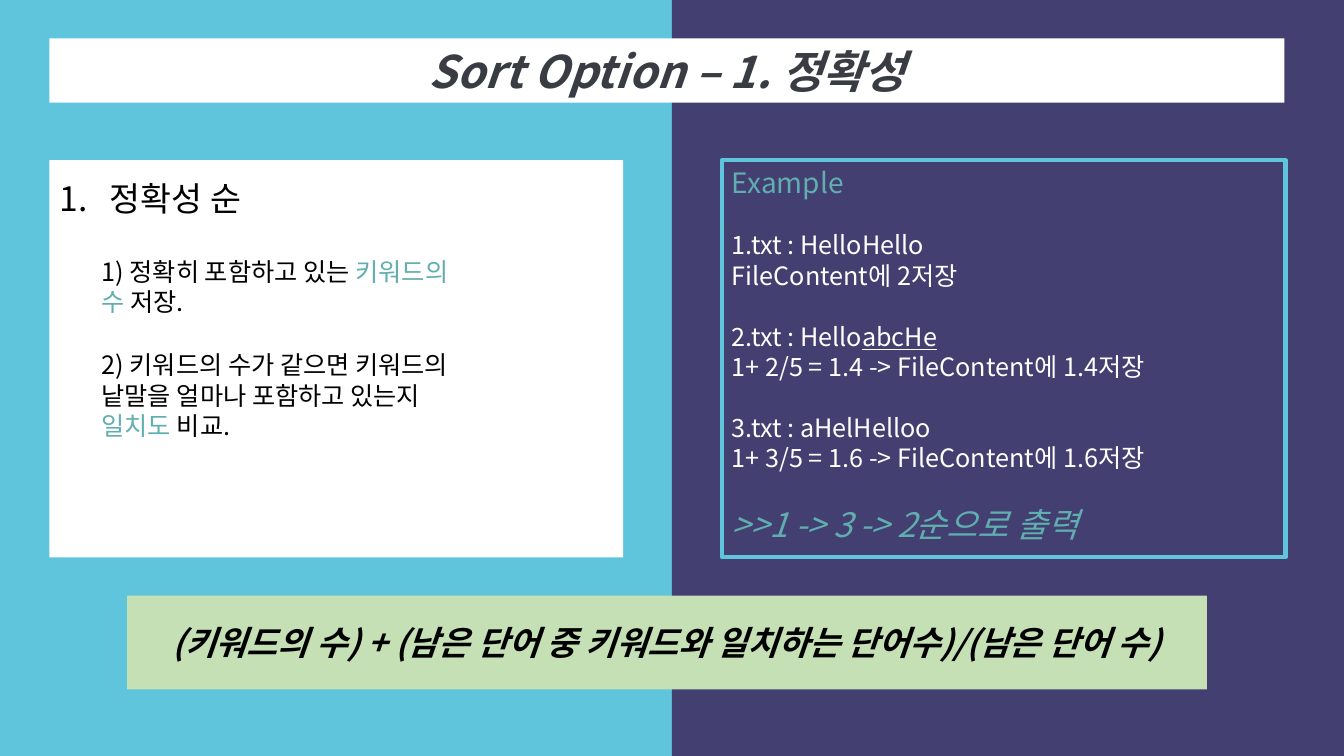
from lxml import etree
from pptx import Presentation
from pptx import util as u
from pptx.dml.color import RGBColor
from pptx.enum import shapes, text
from pptx.oxml import ns

WIDTH, HEIGHT = 13.33, 7.5
MIDDLE = WIDTH / 2
LEFT, PANEL_TOP, PANEL_HEIGHT = 0.49, 1.59, 3.94
FONT = "Noto Sans CJK KR"
SKY, NAVY, TEAL, GREEN = "5FC5DC", "433F71", "61AEB0", "C5E0B4"
WHITE, BLACK, CHARCOAL = "FFFFFF", "000000", "393C43"
LINE_GAP = 22  # points, one text line between groups


def color(value):
    return RGBColor.from_string(value)


def add_box(slide, left, top, width, height, fill=None, line=None):
    box = slide.shapes.add_shape(
        shapes.MSO_SHAPE.RECTANGLE, *map(u.Inches, (left, top, width, height)))
    box.shadow.inherit = False
    if fill:
        box.fill.solid()
        box.fill.fore_color.rgb = color(fill)
    else:
        box.fill.background()
    if line:
        box.line.color.rgb = color(line)
        box.line.width = u.Pt(3)
    else:
        box.line.fill.background()
    return box


def write(box, paragraphs, align=text.PP_ALIGN.LEFT,
          anchor=text.MSO_ANCHOR.TOP):
    """Fill a box from (space before, size, [(words, color, styles)])."""
    frame = box.text_frame
    frame.word_wrap = True
    frame.vertical_anchor = anchor
    for index, (gap, size, spans) in enumerate(paragraphs):
        para = frame.add_paragraph() if index else frame.paragraphs[0]
        para.alignment = align
        if gap:
            para.space_before = u.Pt(gap)
        for words, tint, styles in spans:
            span = para.add_run()
            span.text = words
            span.font.size = u.Pt(size)
            span.font.name = FONT
            span.font.color.rgb = color(tint)
            span.font.bold = "b" in styles
            span.font.italic = "i" in styles
            span.font.underline = "u" in styles
            east_asian = etree.SubElement(
                span.font._element, ns.qn("a:ea"))
            east_asian.set("typeface", FONT)


def add_banner(slide, area, fill, words, size, tint):
    box = add_box(slide, *area, fill=fill)
    write(box, [(0, size, [(words, tint, "bi")])],
          text.PP_ALIGN.CENTER, text.MSO_ANCHOR.MIDDLE)


def add_note(slide, top, height, spans):
    box = slide.shapes.add_textbox(
        *map(u.Inches, (0.91, top, 3.86, height)))
    write(box, [(0, 18, spans)])


def number(para):
    props = para._p.get_or_add_pPr()
    props.set("marL", str(u.Inches(0.5)))
    props.set("indent", str(-u.Inches(0.5)))
    bullet = etree.SubElement(props, ns.qn("a:buAutoNum"))
    bullet.set("type", "arabicPeriod")


def add_criteria(slide):
    panel = add_box(slide, LEFT, PANEL_TOP, 5.69, PANEL_HEIGHT, WHITE)
    panel.text_frame.margin_top = u.Inches(0.18)
    write(panel, [(0, 24, [("정확성 순", BLACK, "")])])
    number(panel.text_frame.paragraphs[0])
    add_note(slide, 2.49, 0.71, [
        ("1) 정확히 포함하고 있는 ", BLACK, ""),
        ("키워드의 수", TEAL, ""), (" 저장.", BLACK, "")])
    add_note(slide, 3.42, 1.01, [
        ("2) 키워드의 수가 같으면 키워드의 낱말을 얼마나 포함하고 있는지 ", BLACK, ""),
        ("일치도 ", TEAL, ""), ("비교.", BLACK, "")])


def add_example(slide):
    panel = add_box(slide, 7.16, PANEL_TOP, 5.59, PANEL_HEIGHT, line=SKY)
    cases = [
        ([("1.txt : HelloHello", WHITE, "")], "FileContent에 2저장"),
        ([("2.txt : Hello", WHITE, ""), ("abcHe", WHITE, "u")],
         "1+ 2/5 = 1.4 -> FileContent에 1.4저장"),
        ([("3.txt : aHelHelloo", WHITE, "")],
         "1+ 3/5 = 1.6 -> FileContent에 1.6저장"),
    ]
    paragraphs = [(0, 20, [("Example", TEAL, "")])]
    for file_spans, score in cases:
        paragraphs.append((LINE_GAP, 18, file_spans))
        paragraphs.append((0, 18, [(score, WHITE, "")]))
    paragraphs.append(
        (LINE_GAP, 24, [(">>1 -> 3 -> 2순으로 출력", TEAL, "i")]))
    write(panel, paragraphs)


def main():
    deck = Presentation()
    deck.slide_width, deck.slide_height = u.Inches(WIDTH), u.Inches(HEIGHT)
    slide = deck.slides.add_slide(deck.slide_layouts[6])
    for column, fill in enumerate((SKY, NAVY)):
        add_box(slide, column * MIDDLE, 0, MIDDLE, HEIGHT, fill)
    add_banner(slide, (LEFT, 0.38, 12.25, 0.64), WHITE,
               "Sort Option – 1. 정확성", 32, CHARCOAL)
    add_criteria(slide)
    add_example(slide)
    add_banner(slide, (1.26, 5.91, 10.71, 0.93), GREEN,
               "(키워드의 수) + (남은 단어 중 키워드와 일치하는 단어수)/(남은 단어 수)",
               24, BLACK)
    deck.save("out.pptx")


if __name__ == "__main__":
    main()
